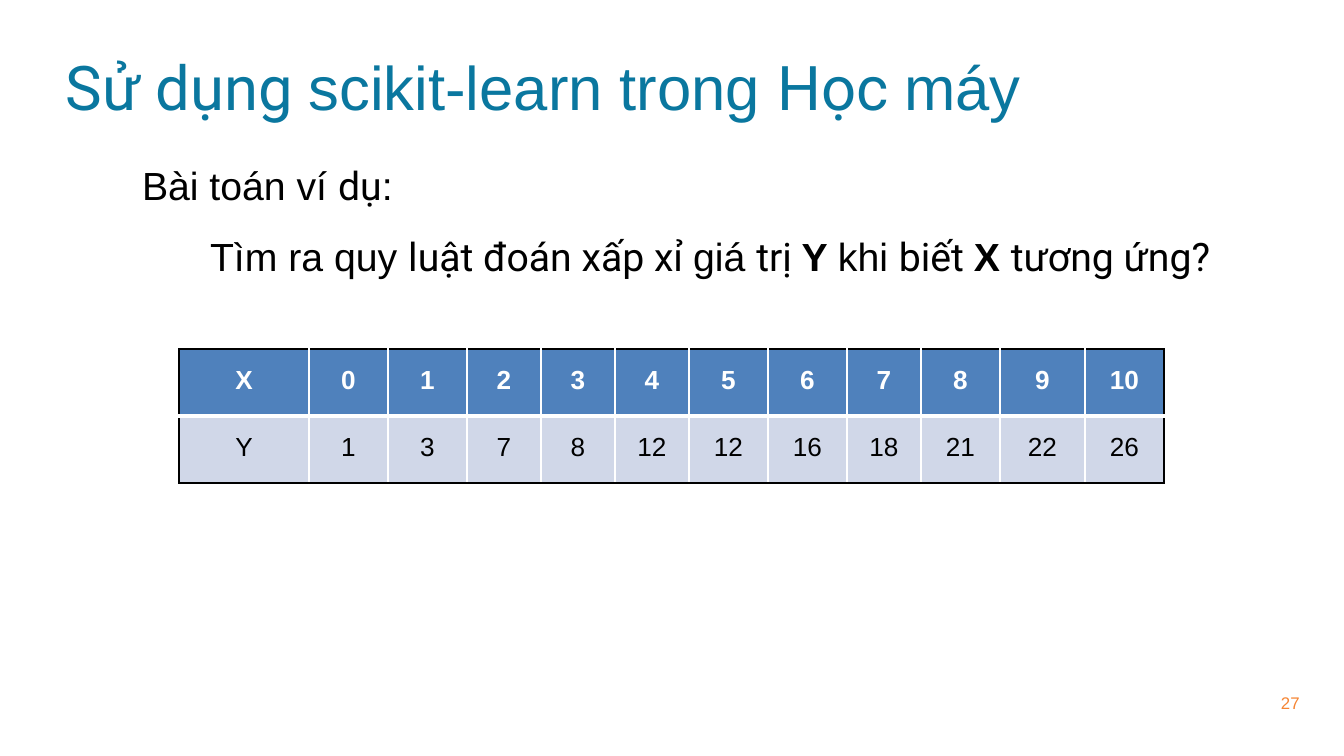
from lxml import etree
from pptx import Presentation
from pptx import util as u
from pptx.dml.color import RGBColor
from pptx.enum import text
from pptx.oxml import ns

TEAL = RGBColor(0x0A, 0x77, 0x9F)
BLACK = RGBColor(0, 0, 0)
WHITE = RGBColor(0xFF, 0xFF, 0xFF)
ORANGE = RGBColor(0xF6, 0x85, 0x33)
HEADER_BLUE = RGBColor(0x4F, 0x81, 0xBC)
PALE_BLUE = RGBColor(0xD0, 0xD7, 0xE8)
LATIN, VIETNAMESE = "Arial", "Roboto"


class Deck:
    scale = 914400 / 134.4

    def __init__(self, width, height):
        self.prs = Presentation()
        self.prs.slide_width = self.px(width)
        self.prs.slide_height = self.px(height)
        self.slide = self.prs.slides.add_slide(self.prs.slide_layouts[5])

    def px(self, length):
        return u.Emu(round(length * self.scale))

    def frame(self, shape, box, top_inset):
        shape.left, shape.top, shape.width, shape.height = map(self.px, box)
        frame = shape.text_frame
        frame.word_wrap = True
        frame.auto_size = text.MSO_AUTO_SIZE.NONE
        frame.vertical_anchor = text.MSO_ANCHOR.TOP
        frame.margin_left = frame.margin_right = frame.margin_bottom = 0
        frame.margin_top = self.px(top_inset)
        return frame

    def fill_paragraph(self, paragraph, runs, size, color, margin=1):
        properties = paragraph._p.get_or_add_pPr()
        properties.set("marL", str(self.px(margin)))
        properties.set("indent", "0")
        paragraph.alignment = text.PP_ALIGN.LEFT
        paragraph.font.size = u.Pt(size)
        paragraph.font.color.rgb = color
        for words, font, *bold in runs:
            run = paragraph.add_run()
            run.text = words
            run.font.name = font
            if bold:
                run.font.bold = True

    def title(self, box, runs, size, color):
        frame = self.frame(self.slide.shapes.title, box, 1)
        self.fill_paragraph(frame.paragraphs[0], runs, size, color)

    def text_box(self, box, lines, size, color, top_inset=0, gap=0, spacing=None):
        frame = self.frame(self.slide.shapes.add_textbox(0, 0, 0, 0), box, top_inset)
        for index, (margin, runs) in enumerate(lines):
            paragraph = frame.add_paragraph() if index else frame.paragraphs[0]
            if index:
                paragraph.space_before = u.Pt(gap)
            if spacing:
                paragraph.line_spacing = spacing
            self.fill_paragraph(paragraph, runs, size, color, margin)

    def border(self, cell, position, side, color, width):
        line = etree.Element(ns.qn(f"a:ln{side}"), w=str(u.Pt(width)))
        fill = etree.SubElement(line, ns.qn("a:solidFill"))
        etree.SubElement(fill, ns.qn("a:srgbClr"), val=str(color))
        cell._tc.get_or_add_tcPr().insert(position, line)

    def cell(self, cell, value, fill, color, bold, borders):
        cell.fill.solid()
        cell.fill.fore_color.rgb = fill
        cell.margin_left = cell.margin_right = cell.margin_bottom = 0
        cell.margin_top = self.px(17)
        for position, (side, line) in enumerate(borders.items()):
            self.border(cell, position, side, *line)
        cell.text = str(value)
        paragraph = cell.text_frame.paragraphs[0]
        paragraph.alignment = text.PP_ALIGN.CENTER
        paragraph.font.name = LATIN
        paragraph.font.size = u.Pt(14)
        paragraph.font.bold = bold
        paragraph.font.color.rgb = color

    def table(self, left, top, widths, row_height, header, values):
        table = self.slide.shapes.add_table(
            2, len(widths), self.px(left), self.px(top),
            self.px(sum(widths)), self.px(2 * row_height)).table
        for column, width in zip(table.columns, widths):
            column.width = self.px(width)
        for row in table.rows:
            row.height = self.px(row_height)
        outer, inner, divider = (BLACK, 1), (WHITE, 1), (WHITE, 3)
        last = len(widths) - 1
        for index, (x, y) in enumerate(zip(header, values)):
            sides = {"L": inner if index else outer,
                     "R": inner if index < last else outer}
            self.cell(table.cell(0, index), x, HEADER_BLUE, WHITE, True,
                      {**sides, "T": outer, "B": divider})
            self.cell(table.cell(1, index), y, PALE_BLUE, BLACK, False,
                      {**sides, "T": divider, "B": outer})


def main():
    deck = Deck(1344, 756)
    deck.title((65, 48, 1106, 76), [
        ("Sử dụng ", VIETNAMESE), ("scikit-learn trong ", LATIN),
        ("Học ", VIETNAMESE), ("máy", LATIN)], 33, TEAL)

    problem = [("Bài toán ví ", LATIN), ("dụ", VIETNAMESE), (":", LATIN)]
    question = [
        ("Tìm ra quy ", LATIN), ("luật đoán xấp xỉ ", VIETNAMESE),
        ("giá ", LATIN), ("trị ", VIETNAMESE), ("Y ", LATIN, True),
        ("khi ", LATIN), ("biết ", VIETNAMESE), ("X ", LATIN, True),
        ("tương ứng?", VIETNAMESE)]
    deck.text_box((141, 137, 1074, 145), [(1, problem), (69, question)],
                  21, BLACK, top_inset=24, gap=13)

    widths = [130, 79, 79, 74, 74, 74, 79, 79, 74, 79, 85, 79]
    deck.table(179, 349, widths, 67, ["X", *range(11)],
               ["Y", 1, 3, 7, 8, 12, 12, 16, 18, 21, 22, 26])

    deck.text_box((1280, 690, 23, 20), [(1, [("27", LATIN)])],
                  9, ORANGE, spacing=1.16)
    deck.prs.save("out.pptx")


if __name__ == "__main__":
    main()
